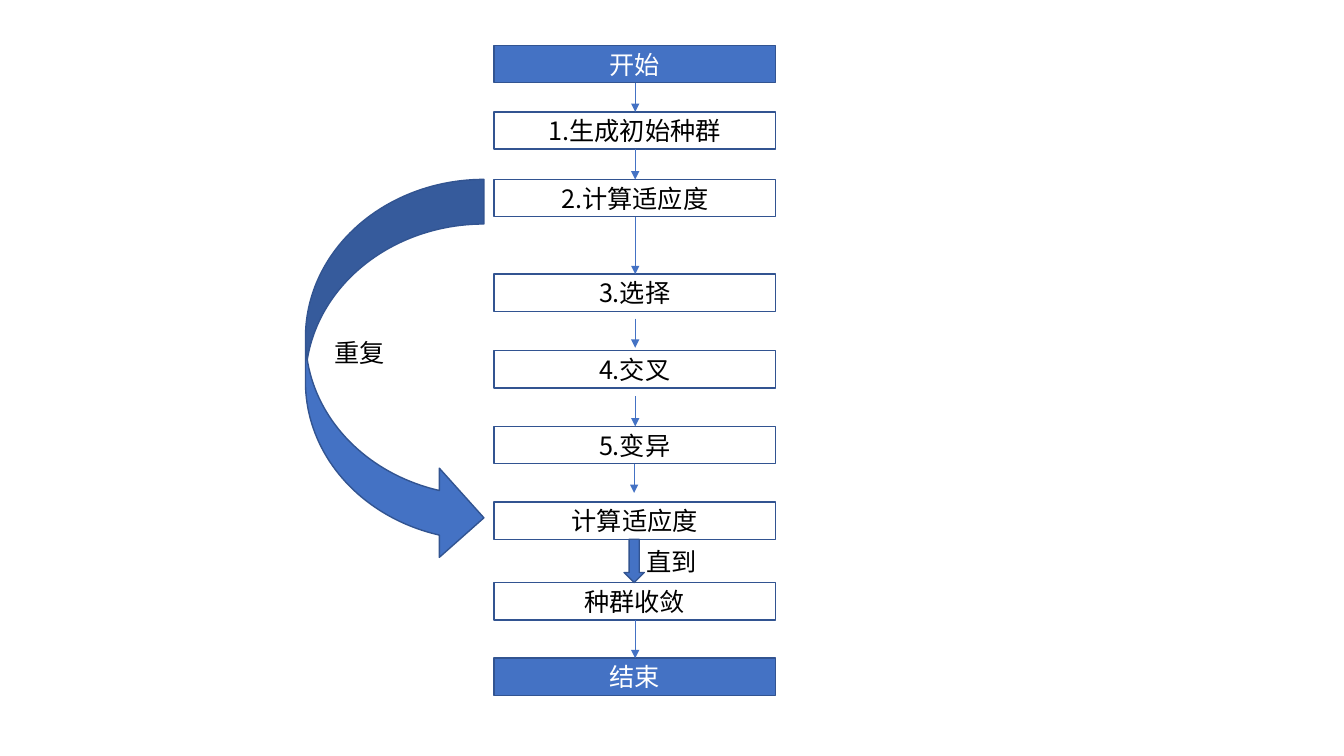
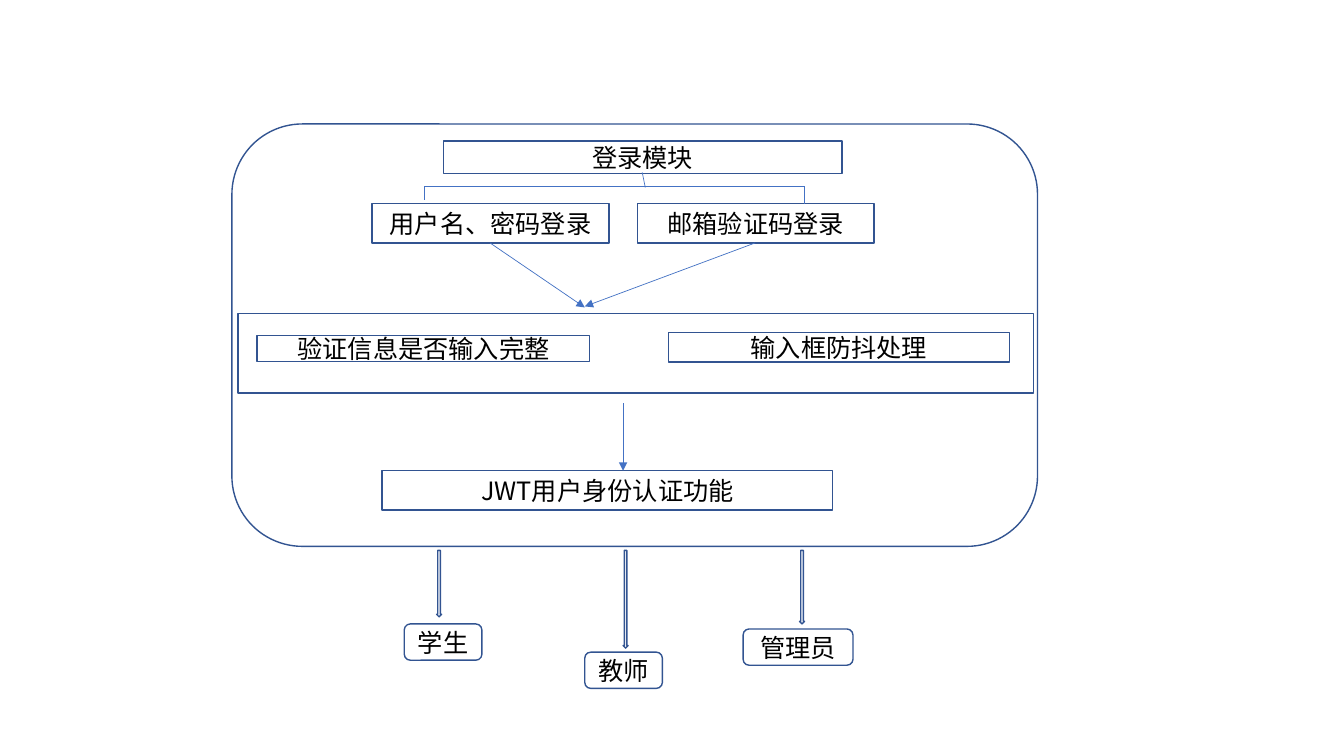
"""Build two flowchart slides: a genetic algorithm and a login module."""
from dataclasses import dataclass

from lxml.etree import SubElement
from pptx import Presentation
from pptx.dml.color import RGBColor as RGB
from pptx.enum.shapes import MSO_CONNECTOR as CONN, MSO_SHAPE as SHAPE
from pptx.enum.text import MSO_ANCHOR as ANCHOR, PP_ALIGN as ALIGN
from pptx.oxml.ns import qn
from pptx.util import Emu, Pt

PX = 9144


@dataclass(frozen=True)
class Theme:
    accent: RGB = RGB(0x44, 0x72, 0xC4)
    outline: RGB = RGB(0x32, 0x54, 0x91)
    black: RGB = RGB(0, 0, 0)
    white: RGB = RGB(255, 255, 255)
    font: str = "Noto Sans CJK SC"
    size: Pt = Pt(18)
    border: Pt = Pt(1)
    thin: Pt = Pt(0.5)


T = Theme()


def add_box(shapes, rect, text="", kind=SHAPE.RECTANGLE, filled=False, plain=False):
    """Add an outlined shape, or a plain label, with its text."""
    pos = [Emu(v * PX) for v in rect]
    if plain:
        sp = shapes.add_textbox(*pos)
    else:
        sp = shapes.add_shape(kind, *pos)
        sp.shadow.inherit = False
        sp.line.color.rgb = T.outline
        sp.line.width = T.border
        if filled:
            sp.fill.solid()
            sp.fill.fore_color.rgb = T.accent
        else:
            sp.fill.background()
    if text:
        tf = sp.text_frame
        tf.word_wrap = not plain
        tf.vertical_anchor = ANCHOR.TOP if plain else ANCHOR.MIDDLE
        p = tf.paragraphs[0]
        p.text = text
        p.alignment = ALIGN.LEFT if plain else ALIGN.CENTER
        p.font.size = T.size
        p.font.color.rgb = T.white if filled else T.black
        p.font.name = T.font
        SubElement(p._p.pPr.find(qn("a:defRPr")), qn("a:ea"), typeface=T.font)
    return sp


def add_line(shapes, x1, y1, x2, y2, arrow=True):
    """Add a thin connector, with an arrowhead at its end by default."""
    ln = shapes.add_connector(CONN.STRAIGHT, *[Emu(v * PX) for v in (x1, y1, x2, y2)])
    ln.line.color.rgb = T.accent
    ln.line.width = T.thin
    if arrow:
        SubElement(ln.line._get_or_add_ln(), qn("a:tailEnd"), type="triangle")
    SubElement(ln._element.spPr, qn("a:effectLst"))


prs = Presentation()
prs.slide_width, prs.slide_height = Emu(1333 * PX), Emu(750 * PX)
blank = prs.slide_layouts[6]

shapes = prs.slides.add_slide(blank).shapes
steps = [
    (45, "开始"), (111, "1.生成初始种群"), (178, "2.计算适应度"),
    (272, "3.选择"), (348, "4.交叉"), (423, "5.变异"),
    (498, "计算适应度"), (578, "种群收敛"), (653, "结束"),
]
for y, text in steps:
    add_box(shapes, (490, y, 279, 37), text, filled=text in ("开始", "结束"))
add_box(shapes, (303, 178, 177, 380), kind=SHAPE.CURVED_RIGHT_ARROW, filled=True)
add_box(shapes, (619, 535, 20, 43), kind=SHAPE.DOWN_ARROW, filled=True)
for x, y, text in [(322, 330, "重复"), (631, 537, "直到")]:
    add_box(shapes, (x, y, 71, 40), text, plain=True)
for x, y1, y2 in [
    (630, 82, 111), (630, 148, 178), (630, 215, 272), (630, 316, 345),
    (630, 393, 423), (629, 460, 489), (630, 615, 653),
]:
    add_line(shapes, x, y1, x, y2)

shapes = prs.slides.add_slide(blank).shapes
add_box(shapes, (230, 123, 799, 419), kind=SHAPE.ROUNDED_RECTANGLE)
for rect, text in [
    ((440, 140, 395, 32), "登录模块"),
    ((369, 202, 235, 39), "用户名、密码登录"),
    ((632, 202, 235, 39), "邮箱验证码登录"),
    ((379, 467, 447, 39), "JWT用户身份认证功能"),
]:
    add_box(shapes, rect, text)

checks = shapes.add_group_shape().shapes
for rect, text in [
    ((236, 311, 789, 79), ""),
    ((255, 333, 330, 26), "验证信息是否输入完整"),
    ((663, 330, 338, 29), "输入框防抖处理"),
]:
    add_box(checks, rect, text)

for x, y, w, text, arrow_x, arrow_h in [
    (401, 619, 77, "学生", 433, 66),
    (580, 647, 77, "教师", 618, 97),
    (737, 624, 109, "管理员", 793, 73),
]:
    add_box(shapes, (arrow_x, 546, 5, arrow_h), kind=SHAPE.DOWN_ARROW)
    add_box(shapes, (x, y, w, 36), text, SHAPE.ROUNDED_RECTANGLE)

for ends in [(486, 241, 580, 305), (749, 241, 580, 304), (618, 400, 618, 467)]:
    add_line(shapes, *ends)
for ends in [
    (421, 185, 798, 185), (637, 171, 640, 186),
    (421, 185, 421, 198), (798, 185, 798, 202),
]:
    add_line(shapes, *ends, arrow=False)

prs.save("out.pptx")
